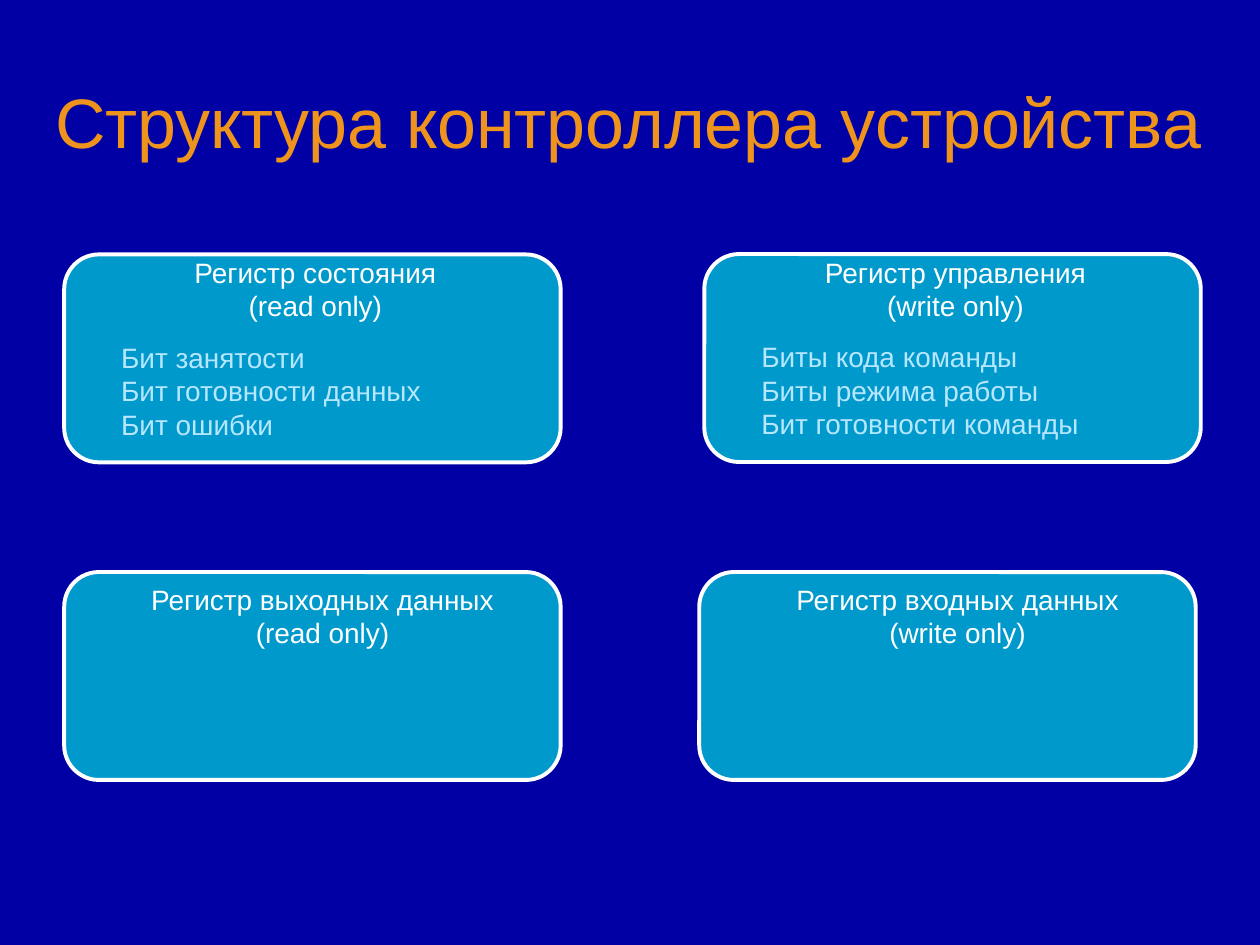
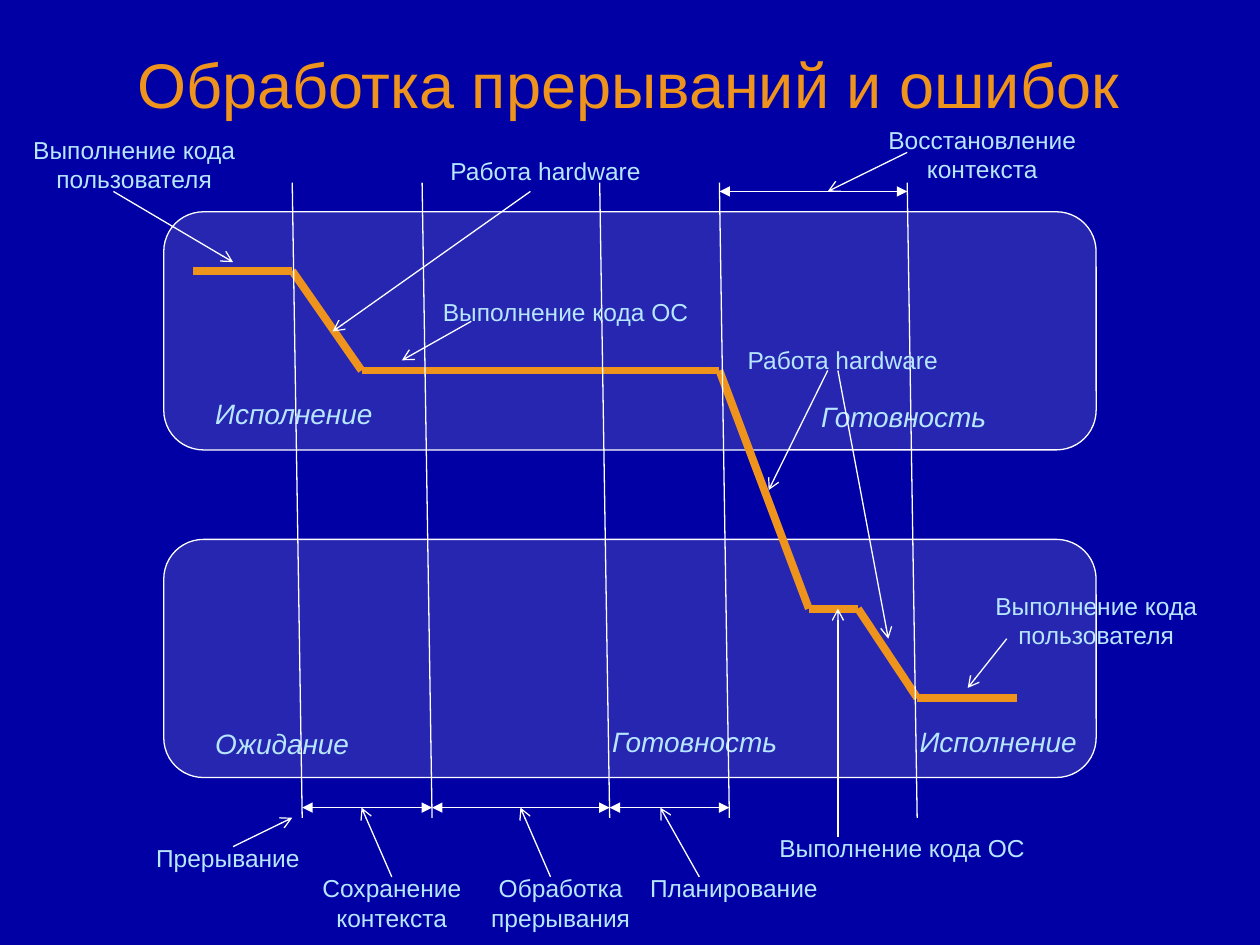
from dataclasses import dataclass
from itertools import pairwise

from lxml import etree
from pptx import Presentation
from pptx.dml.color import RGBColor
from pptx.enum.shapes import MSO_CONNECTOR as Connector, MSO_SHAPE as Preset
from pptx.enum.text import MSO_ANCHOR as Anchor, PP_ALIGN as Align
from pptx.oxml.ns import qn
from pptx.slide import Slide
from pptx.util import Pt

# Shared look
FONT = "Arial"
NAVY, ORANGE, WHITE = "0000A4", "EE941C", "FFFFFF"
PALE, CYAN = "B7E7FF", "0099CC"
THIN, THICK = 0.75, 4.5

Point = tuple[float, float]


@dataclass(frozen=True)
class Label:
    text: str
    left: float
    top: float
    width: float
    height: float = 24
    size: float = 14
    color: str = PALE
    align: Align = Align.CENTER
    italic: bool = False


@dataclass(frozen=True)
class Register:
    left: float
    top: float
    name: str
    access: str
    bits: tuple[str, ...] = ()


@dataclass(frozen=True)
class Arrow:
    start: Point
    end: Point


def rgb(value: str) -> RGBColor:
    return RGBColor.from_string(value)


def add_label(page: Slide, label: Label, anchor: Anchor = Anchor.TOP, side_inset: float = 7.2) -> None:
    box = page.shapes.add_textbox(Pt(label.left), Pt(label.top), Pt(label.width), Pt(label.height))
    frame = box.text_frame
    frame.word_wrap = True
    frame.vertical_anchor = anchor
    frame.margin_left = frame.margin_right = Pt(side_inset)
    for index, line in enumerate(label.text.split("\n")):
        para = frame.paragraphs[0] if index == 0 else frame.add_paragraph()
        para.alignment = label.align
        span = para.add_run()
        span.text = line
        span.font.name = FONT
        span.font.size = Pt(label.size)
        span.font.italic = label.italic
        span.font.color.rgb = rgb(label.color)


def add_panel(page: Slide, left: float, top: float, width: float, height: float,
              fill: str, line_width: float, opacity: int = 100) -> None:
    panel = page.shapes.add_shape(Preset.ROUNDED_RECTANGLE, Pt(left), Pt(top), Pt(width), Pt(height))
    panel.shadow.inherit = False
    panel.fill.solid()
    panel.fill.fore_color.rgb = rgb(fill)
    panel.line.color.rgb = rgb(WHITE)
    panel.line.width = Pt(line_width)
    if opacity < 100:
        color = panel.element.spPr.find(qn("a:solidFill")).find(qn("a:srgbClr"))
        etree.SubElement(color, qn("a:alpha"), val=str(opacity * 1000))


def add_line(page: Slide, start: Point, end: Point, color: str = WHITE, width: float = THIN,
             head: str = "", tail: str = "") -> None:
    line = page.shapes.add_connector(Connector.STRAIGHT, *(Pt(value) for value in (*start, *end)))
    line.line.color.rgb = rgb(color)
    line.line.width = Pt(width)
    properties = line.element.spPr
    for tag, kind in (("a:headEnd", head), ("a:tailEnd", tail)):
        if kind:
            etree.SubElement(properties.find(qn("a:ln")), qn(tag), type=kind)
    etree.SubElement(properties, qn("a:effectLst"))


def add_page(deck: Presentation, title: str, size: float, height: float) -> Slide:
    page = deck.slides.add_slide(deck.slide_layouts[6])
    page.background.fill.solid()
    page.background.fill.fore_color.rgb = rgb(NAVY)
    add_label(page, Label(title, 24, 18, 670, height, size, ORANGE), Anchor.MIDDLE, side_inset=0)
    return page


# Device controller registers
REGISTERS = (
    Register(36.7, 145.4, "Регистр состояния", "(read only)",
             ("Бит занятости", "Бит готовности данных", "Бит ошибки")),
    Register(402.5, 145.2, "Регистр управления", "(write only)",
             ("Биты кода команды", "Биты режима работы", "Бит готовности команды")),
    Register(36.7, 326.9, "Регистр выходных данных", "(read only)"),
    Register(399.6, 326.9, "Регистр входных данных", "(write only)"),
)


def add_register(page: Slide, register: Register) -> None:
    left, top = register.left, register.top
    add_panel(page, left, top, 283.7, 118.8, CYAN, 2.25)
    shift, drop, width = (57, -3, 173) if register.bits else (14.4, 2.2, 266.4)
    add_label(page, Label(f"{register.name}\n{register.access}", left + shift, top + drop,
                          width, 46, 16, WHITE))
    if register.bits:
        add_label(page, Label("\n".join(register.bits), left + 25.5, top + 45.4,
                              241, 65, 16, align=Align.LEFT))


def build_controller(deck: Presentation) -> None:
    page = add_page(deck, "Структура контроллера устройства", 40, 101.5)
    for register in REGISTERS:
        add_register(page, register)


# Interrupt timeline
PANEL_TOPS = (121, 308.2)
TRACE = ((110.2, 154.8), (167, 154.8), (206.6, 211.7), (241.2, 211.7), (342.7, 211.7),
         (411.1, 211.7), (462.2, 347.8), (490.3, 347.8), (524.2, 398.9), (581, 398.9))
BOUNDARIES = (167, 241.2, 342.7, 411.1, 518.4)
BOUNDARY_TOP, BOUNDARY_BOTTOM, BOUNDARY_SLANT = 104.4, 467.3, 5.7
RESTORE_Y, PHASE_Y = 109.4, 461.5

STATES = (
    ("Ожидание", 115.9, 411.8),
    ("Исполнение", 115.9, 223.2),
    ("Готовность", 342.7, 410.4),
    ("Исполнение", 518.4, 410.4),
    ("Готовность", 462.2, 224.6),
)
CALLOUTS = (
    Label("Прерывание", 82.1, 478.1, 102.2, align=Align.LEFT),
    Label("Выполнение кода ОС", 235.4, 166.3, 175.7),
    Label("Работа hardware", 223.9, 85.7, 175.7),
    Label("Сохранение контекста", 172.8, 495.4, 102.2, 41),
    Label("Обработка прерывания", 269.3, 495.4, 102.2, 41),
    Label("Планирование", 360, 495.4, 118.8),
    Label("Работа hardware", 393.8, 193.7, 175.7),
    Label("Выполнение кода ОС", 427.7, 472.3, 175.7),
    Label("Восстановление контекста", 499, 67.7, 124.6, 41),
    Label("Выполнение кода пользователя", 5.8, 73.4, 141.8, 41),
    Label("Выполнение кода пользователя", 538.6, 334.1, 175.7, 41),
)
ARROWS = (
    Arrow((133.2, 483.8), (167, 467.3)),
    Arrow((64.8, 109.4), (133.2, 149.8)),
    Arrow((303.1, 109.4), (190.1, 189.4)),
    Arrow((269.3, 183.6), (229.7, 205.9)),
    Arrow((223.9, 501.1), (206.6, PHASE_Y)),
    Arrow((314.6, 501.1), (297.4, PHASE_Y)),
    Arrow((399.6, 501.1), (377.3, PHASE_Y)),
    Arrow((473, 211.7), (439.2, 280.1)),
    Arrow((478.8, 211.7), (507.6, 365)),
    Arrow((478.8, 478.1), (478.8, 347.8)),
    Arrow((575.3, 365), (553, 393.1)),
    Arrow((518.4, 87.1), (473, RESTORE_Y)),
)


def build_interrupts(deck: Presentation) -> None:
    page = add_page(deck, "Обработка прерываний и ошибок", 36, 59)
    for top in PANEL_TOPS:
        add_panel(page, 93.6, top, 532.8, 136.1, WHITE, THIN, opacity=15)
    for text, left, top in STATES:
        add_label(page, Label(text, left, top, 141.8, 27, 16, align=Align.LEFT, italic=True))

    # Execution path and phase boundaries
    for start, end in pairwise(TRACE):
        add_line(page, start, end, ORANGE, THICK)
    for x in BOUNDARIES:
        add_line(page, (x, BOUNDARY_TOP), (x + BOUNDARY_SLANT, BOUNDARY_BOTTOM))

    # Phase durations
    phases = [(left + BOUNDARY_SLANT, right + BOUNDARY_SLANT, PHASE_Y)
              for left, right in pairwise(BOUNDARIES[:4])]
    for left, right, y in (*phases, (*BOUNDARIES[3:], RESTORE_Y)):
        add_line(page, (left, y), (right, y), head="triangle", tail="triangle")

    # Callouts
    for arrow in ARROWS:
        add_line(page, arrow.start, arrow.end, tail="arrow")
    for callout in CALLOUTS:
        add_label(page, callout)


def main() -> None:
    deck = Presentation()
    deck.slide_width, deck.slide_height = Pt(720), Pt(540)
    build_controller(deck)
    build_interrupts(deck)
    deck.save("out.pptx")


if __name__ == "__main__":
    main()
